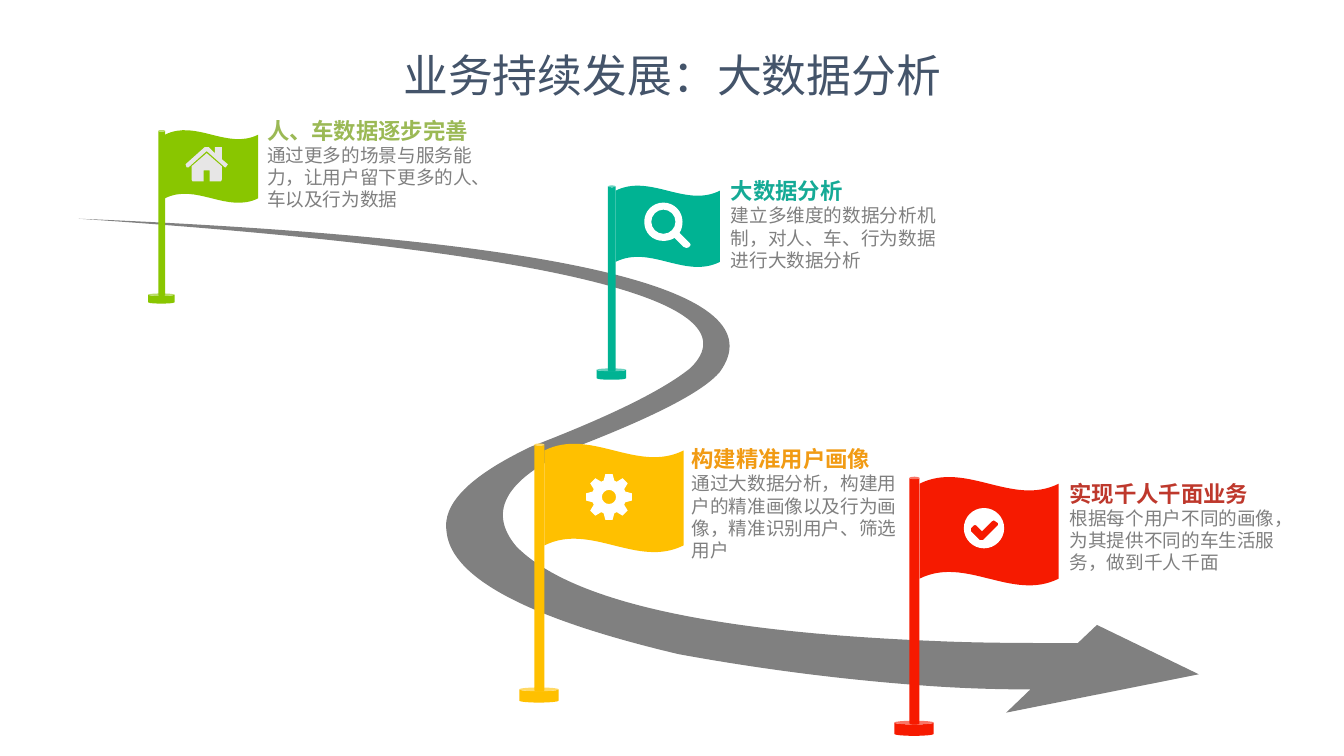
import math

from lxml import etree
from pptx import Presentation
from pptx import util as u
from pptx.dml import color
from pptx.enum import shapes, text
from pptx.oxml import ns

UNITS = 1000  # outline units per inch


def rgb(hex_value):
    return color.RGBColor.from_string(hex_value)


def set_all(target, values):
    for name, value in values.items():
        setattr(target, name, value)


def circle(center, radius):
    """Four cubic curves, as a contour."""
    x, y = center
    r, k = radius, 0.55 * radius
    return [(x, y + r),
            (x - k, y + r, x - r, y + k, x - r, y), (x - r, y - k, x - k, y - r, x, y - r),
            (x + k, y - r, x + r, y - k, x + r, y), (x + r, y + k, x + k, y + r, x, y + r)]


def gear(center, teeth=8):
    profile = ((-18, 0.17), (-9, 0.23), (9, 0.23), (18, 0.17))
    corners = [(math.radians(tooth * 360 / teeth + offset), radius)
               for tooth in range(teeth) for offset, radius in profile]
    return [(center[0] + radius * math.cos(angle), center[1] + radius * math.sin(angle))
            for angle, radius in corners]


class RoadmapSlide:
    font_name = "Noto Sans CJK SC"
    body_color = "808080"

    def __init__(self, presentation):
        self.slide = presentation.slides.add_slide(presentation.slide_layouts[6])

    def paint(self, shape, fill):
        shape.shadow.inherit = False
        shape.fill.solid()
        shape.fill.fore_color.rgb = rgb(fill)
        shape.line.fill.background()

    def preset(self, group, kind, left, top, width, height, fill):
        shape = group.shapes.add_shape(
            kind, u.Inches(left), u.Inches(top), u.Inches(width), u.Inches(height))
        self.paint(shape, fill)
        return shape

    def outline(self, contours, fill):
        """Each contour holds points (x, y) and curves (x1, y1, x2, y2, x, y)."""
        builder = None
        for contour in contours:
            points = [(step[-2] * UNITS, step[-1] * UNITS) for step in contour]
            if builder is None:
                builder = self.slide.shapes.build_freeform(
                    *points[0], scale=u.Inches(1) / UNITS)
            else:
                builder.move_to(*points[0])
            builder.add_line_segments(points[1:], close=True)
        shape = builder.convert_to_shape()
        self.bend(shape, [step for contour in contours for step in contour[1:]])
        self.paint(shape, fill)

    def bend(self, shape, steps):
        """Turn the segments that have control points into cubic curves."""
        left, top = shape.left / u.Inches(1), shape.top / u.Inches(1)
        segments = list(shape._element.iter(ns.qn("a:lnTo")))
        for segment, step in zip(segments, steps):
            if len(step) == 2:
                continue
            curve = etree.Element(ns.qn("a:cubicBezTo"))
            for x, y in zip(step[::2], step[1::2]):
                point = etree.SubElement(curve, ns.qn("a:pt"))
                point.set("x", str(round((x - left) * UNITS)))
                point.set("y", str(round((y - top) * UNITS)))
            segment.getparent().replace(segment, curve)

    def flag(self, pole_left, top, scale, fill):
        group = self.slide.shapes.add_group_shape()
        pole_width = 0.1 * scale
        base_left = pole_left + pole_width / 2 - 0.2 * scale
        wave = self.preset(group, shapes.MSO_SHAPE.WAVE, pole_left + pole_width, top,
                           1.38 * scale, 1.08 * scale, fill)
        wave.adjustments[0] = 0.064
        wave.adjustments[1] = 0
        can = shapes.MSO_SHAPE.CAN
        self.preset(group, can, base_left, top + 2.42 * scale,
                    0.39 * scale, 0.15 * scale, fill)
        self.preset(group, can, pole_left, top, pole_width, 2.46 * scale, fill)

    def textbox(self, left, top, width, height, **frame_format):
        box = self.slide.shapes.add_textbox(
            u.Inches(left), u.Inches(top), u.Inches(width), u.Inches(height))
        set_all(box.text_frame, {"word_wrap": True,
                                 "auto_size": text.MSO_AUTO_SIZE.SHAPE_TO_FIT_TEXT,
                                 **frame_format})
        return box.text_frame.paragraphs[0]

    def run(self, paragraph, wording, size, fill, bold=False):
        run = paragraph.add_run()
        run.text = wording
        set_all(run.font, {"size": u.Pt(size), "bold": bold, "name": self.font_name})
        run.font.color.rgb = rgb(fill)
        east_asian = etree.SubElement(run.font._element, ns.qn("a:ea"))
        east_asian.set("typeface", self.font_name)

    def caption(self, left, top, height, heading, body, fill):
        paragraph = self.textbox(left, top, 2.39, height)
        self.run(paragraph, heading, 16, fill, bold=True)
        paragraph.add_line_break()
        self.run(paragraph, body, 13.3, self.body_color)

    def title(self, wording):
        paragraph = self.textbox(
            3.29, 0.45, 6.76, 0.59,
            margin_left=u.Inches(0.05), margin_right=u.Inches(0.05),
            margin_top=u.Inches(0.02), margin_bottom=u.Inches(0.02))
        paragraph.alignment = text.PP_ALIGN.CENTER
        self.run(paragraph, wording, 32, "44546A")


ROAD = [
    (10.69, 6.38), (10.88, 6.2), (11.89, 6.69), (9.98, 7.07), (10.22, 6.84),
    (9.9, 6.84, 9.59, 6.83, 9.28, 6.81), (8.4, 6.75, 7.55, 6.64, 6.73, 6.49),
    (5.25, 6.14, 4.48, 5.74, 4.43, 5.28), (4.38, 5, 4.66, 4.72, 5.27, 4.43),
    (6.05, 4.13, 6.58, 3.87, 6.85, 3.65), (7.52, 2.99, 5.5, 2.49, 0.78, 2.17),
    (5.61, 2.37, 7.73, 2.87, 7.14, 3.69), (6.98, 3.88, 6.52, 4.12, 5.75, 4.42),
    (5.03, 4.73, 4.82, 5.06, 5.12, 5.42), (5.65, 5.96, 7.03, 6.27, 9.28, 6.36),
    (9.72, 6.38, 10.19, 6.38, 10.69, 6.38),
]

ROOF = [(2.24, 1.66), (2.23, 1.66), (2.05, 1.5), (1.87, 1.66), (1.85, 1.66), (1.84, 1.63),
        (2.03, 1.46), (2.04, 1.46, 2.06, 1.46, 2.07, 1.46), (2.13, 1.52), (2.13, 1.46),
        (2.2, 1.46), (2.2, 1.58), (2.26, 1.63)]
WALLS = [(2.2, 1.78), (2.2, 1.79, 2.19, 1.8, 2.19, 1.8), (2.08, 1.8), (2.08, 1.69),
         (2.02, 1.69), (2.02, 1.8), (1.91, 1.8), (1.91, 1.8, 1.9, 1.79, 1.9, 1.78),
         (1.9, 1.65), (2.05, 1.52), (2.2, 1.65)]
MAGNIFIER = [
    (6.81, 2.46), (6.8, 2.46, 6.79, 2.46, 6.78, 2.45), (6.69, 2.36),
    (6.66, 2.38, 6.62, 2.39, 6.58, 2.39), (6.47, 2.39, 6.39, 2.31, 6.39, 2.2),
    (6.39, 2.1, 6.47, 2.01, 6.58, 2.01), (6.69, 2.01, 6.77, 2.1, 6.77, 2.2),
    (6.77, 2.24, 6.76, 2.28, 6.74, 2.31), (6.83, 2.4),
    (6.84, 2.41, 6.85, 2.42, 6.85, 2.43), (6.85, 2.45, 6.82, 2.46, 6.81, 2.46),
]
CHECK = [(9.9, 5.19), (9.87, 5.17), (9.87, 5.16, 9.85, 5.16, 9.84, 5.17), (9.74, 5.27),
         (9.68, 5.21), (9.67, 5.21, 9.66, 5.21, 9.66, 5.21), (9.63, 5.24),
         (9.63, 5.25, 9.63, 5.26, 9.63, 5.27), (9.72, 5.36),
         (9.73, 5.36, 9.74, 5.36, 9.75, 5.36), (9.9, 5.21)]
GEAR_CENTER = (6.04, 4.93)

# Pole left, top, scale, colour
FLAGS = [
    (5.3, 4.4, 1, "FFC000"),
    (6.03, 1.84, 0.75, "00B393"),
    (1.57, 1.29, 0.67, "89C600"),
    (9.02, 4.73, 1, "F61A00"),
]

# Left, top, height, heading, body, heading colour
CAPTIONS = [
    (2.55, 1.11, 1.04, "人、车数据逐步完善",
     "通过更多的场景与服务能力，让用户留下更多的人、车以及行为数据", "9BB955"),
    (7.15, 1.71, 1.04, "大数据分析",
     "建立多维度的数据分析机制，对人、车、行为数据进行大数据分析", "15AA96"),
    (6.76, 4.37, 1.27, "构建精准用户画像",
     "通过大数据分析，构建用户的精准画像以及行为画像，精准识别用户、筛选用户", "F19B14"),
    (10.51, 4.71, 1.04, "实现千人千面业务",
     "根据每个用户不同的画像，为其提供不同的车生活服务，做到千人千面", "BE382C"),
]

ICONS = [
    ([ROOF, WALLS], "E7E6E6"),
    ([MAGNIFIER, circle((6.58, 2.2), 0.12)], "FFFFFF"),
    ([gear(GEAR_CENTER), circle(GEAR_CENTER, 0.07)], "FFFFFF"),
    ([circle((9.76, 5.24), 0.2), CHECK], "FFFFFF"),
]


def main():
    presentation = Presentation()
    set_all(presentation, {"slide_width": u.Inches(13.33), "slide_height": u.Inches(7.5)})
    roadmap = RoadmapSlide(presentation)

    # Road and the flags along it
    roadmap.outline([ROAD], "808080")
    for flag in FLAGS:
        roadmap.flag(*flag)

    # Captions, flag icons and title
    for caption in CAPTIONS:
        roadmap.caption(*caption)
    for icon in ICONS:
        roadmap.outline(*icon)
    roadmap.title("业务持续发展：大数据分析")

    presentation.save("out.pptx")


if __name__ == "__main__":
    main()
